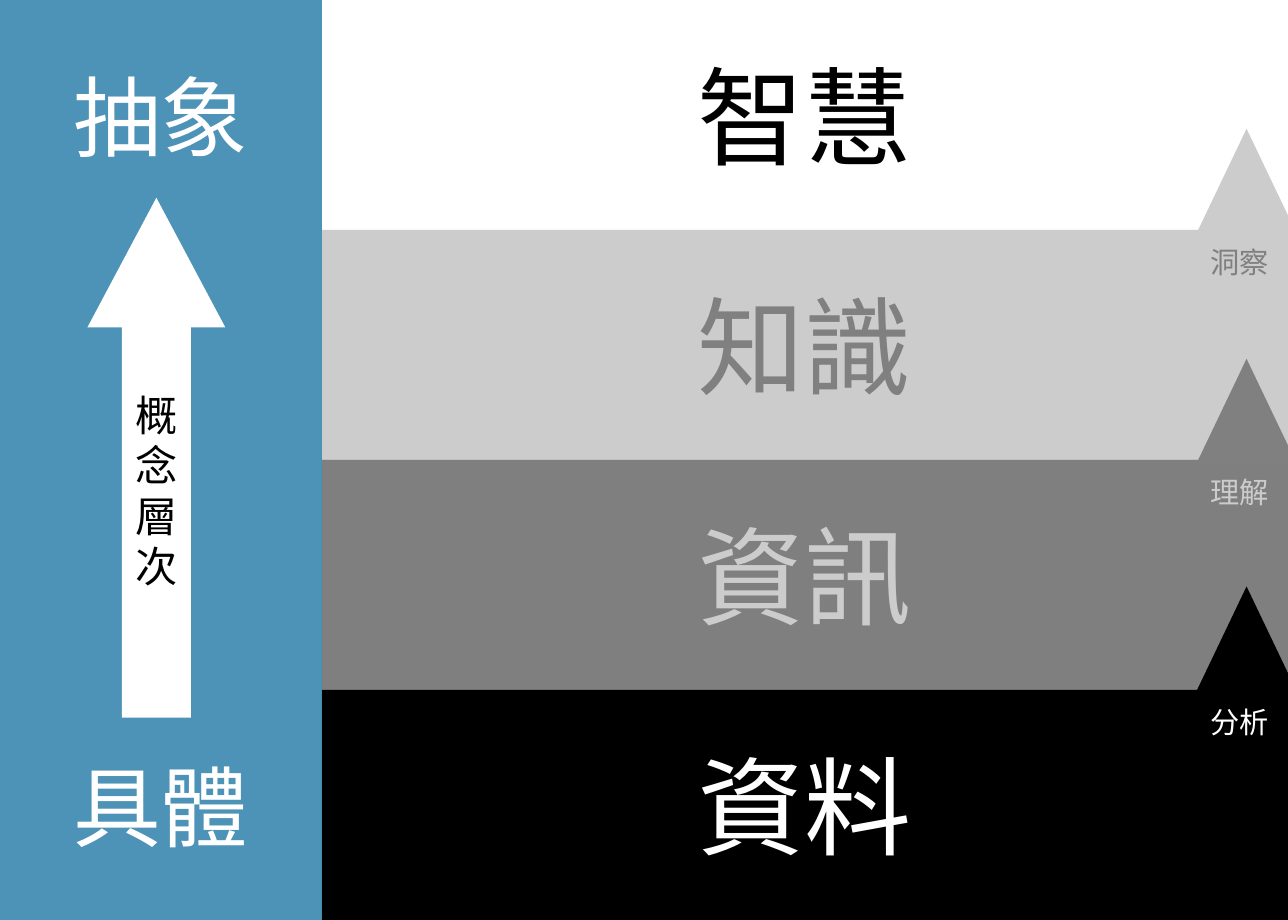
from dataclasses import dataclass
from lxml.etree import SubElement as Sub
from pptx import Presentation
from pptx.dml.color import RGBColor as RGB
from pptx.enum.shapes import MSO_SHAPE as Kind
from pptx.enum.text import MSO_ANCHOR as Anchor, PP_ALIGN as Align
from pptx.oxml.ns import qn
from pptx.util import Cm, Pt


@dataclass(frozen=True)
class Theme:
    black: str = "000000"
    dark: str = "808080"
    light: str = "CCCCCC"
    white: str = "FFFFFF"
    blue: str = "006699"
    sans: str = "Noto Sans CJK TC"
    latin: str = "Arial"
    large: int = 66
    title: int = 54
    axis: int = 26
    small: int = 18


class Deck:
    def __init__(self, theme, wide, high):
        self.theme = theme
        self.prs = Presentation()
        self.prs.slide_width, self.prs.slide_height = Cm(wide), Cm(high)
        self.slide = self.prs.slides.add_slide(self.prs.slide_layouts[6])
        self.shapes = self.slide.shapes

    def group(self):
        """Send the shapes that follow into a new group."""
        self.shapes = self.slide.shapes.add_group_shape().shapes

    def shape(self, kind, box, color, alpha=100):
        """Draw a filled shape without outline; alpha is in percent."""
        item = self.shapes.add_shape(kind, *map(Cm, box))
        item.shadow.inherit = False
        item.line.fill.background()
        item.fill.solid()
        item.fill.fore_color.rgb = RGB.from_string(color)
        if alpha < 100:
            tint = item._element.spPr.find(".//" + qn("a:srgbClr"))
            Sub(tint, qn("a:alpha")).set("val", str(alpha * 1000))
        return item

    def letter(self, item, text, size, color, face=None):
        """Put centred text, one paragraph a line, into a shape."""
        face = face or self.theme.sans
        frame = item.text_frame
        frame.text = text
        frame.word_wrap = False
        frame.vertical_anchor = Anchor.MIDDLE
        for para in frame.paragraphs:
            para.alignment = Align.CENTER
            for run in para.runs:
                font = run.font
                font.size = Pt(size)
                font.color.rgb = RGB.from_string(color)
                font.name = face
                Sub(font._element, qn("a:ea")).set("typeface", face)

    def label(self, box, text, size, color):
        item = self.shapes.add_textbox(*map(Cm, box))
        self.letter(item, text, size, color)


def main():
    theme = Theme()
    wide, high, side = 28, 20, 7
    step = high / 4
    deck = Deck(theme, wide, high)

    # Name, fill, alpha, text colour
    layers = [
        ("智慧", theme.white, 100, theme.black),
        ("知識", theme.light, 100, theme.dark),
        ("資訊", theme.black, 50, theme.light),
        ("資料", theme.black, 100, theme.white),
    ]
    for row, (name, fill, alpha, ink) in enumerate(layers):
        box = (side, row * step, wide - side, step)
        band = deck.shape(Kind.RECTANGLE, box, fill, alpha)
        deck.letter(band, name, theme.large, ink)

    # Layer row, label, tip of the peak, peak colour, text colour
    peaks = [
        (3, "分析", 12.75, theme.black, theme.white),
        (2, "理解", 7.8, theme.dark, theme.light),
        (1, "洞察", 2.8, theme.light, theme.dark),
    ]
    for row, name, tip, fill, ink in peaks:
        deck.shape(Kind.ISOSCELES_TRIANGLE, (26, tip, 2.2, 2.3), fill)
        deck.label((25.4, row * step, 3.1, 1.4), name, theme.small, ink)

    deck.group()
    deck.shape(Kind.RECTANGLE, (0, 0, side, high), theme.blue, 70)
    for name, top in (("抽象", 0), ("具體", high - step)):
        deck.label((0, top, side, step), name, theme.title, theme.white)
    arrow = deck.shape(Kind.UP_ARROW, (1.9, 4.3, 3, 11.3), theme.white)
    arrow.adjustments[0], arrow.adjustments[1] = 0.5, 0.94
    deck.letter(arrow, "\n".join("概念層次"), theme.axis, theme.black, theme.latin)

    deck.prs.save("out.pptx")


if __name__ == "__main__":
    main()
